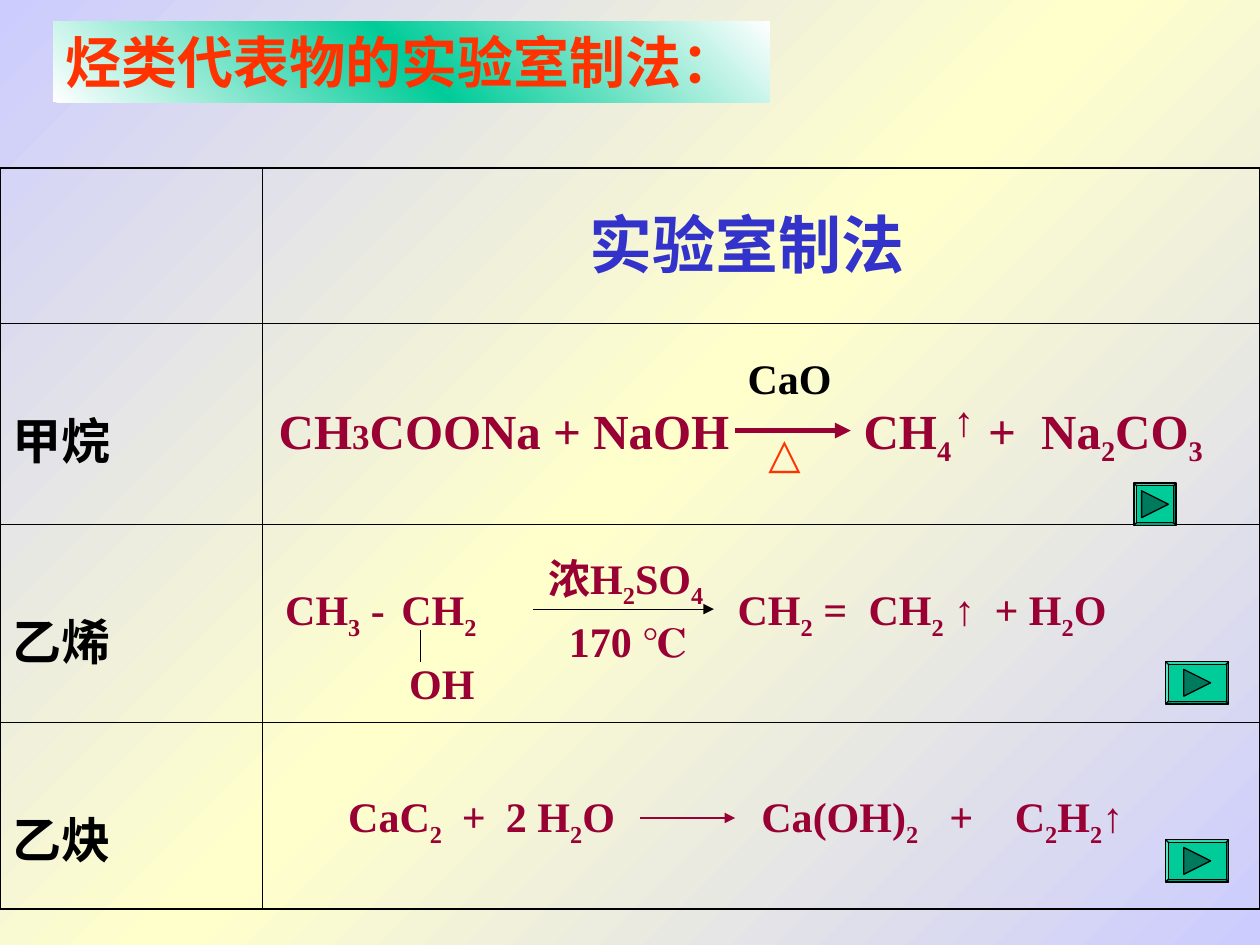
from copy import deepcopy
from dataclasses import dataclass

from lxml.etree import SubElement
from pptx import Presentation
from pptx.dml.color import RGBColor
from pptx.enum.shapes import MSO_CONNECTOR, MSO_SHAPE
from pptx.enum.text import MSO_ANCHOR
from pptx.oxml.ns import qn
from pptx.util import Cm, Pt

FONT = "Times New Roman"
BLACK, WINE, RED, BLUE, GREEN = "000000", "990033", "FF3300", "3333CC", "00CC99"


@dataclass
class Label:
    text: str
    x: float
    y: float
    w: float
    h: float
    size: int = 24
    color: str = WINE
    bold: bool = True
    tabs: tuple = ()
    anchor: MSO_ANCHOR = MSO_ANCHOR.TOP


@dataclass
class Line:
    x1: float
    y1: float
    x2: float
    y2: float
    color: str = BLACK
    width: float = 0.75
    arrow: bool = True


@dataclass
class Button:
    x: float
    y: float
    w: float
    h: float = 0.85


TITLE = Label("烃类代表物的实验室制法：", 1.07, 0.43, 14.45, 1.63, 32, RED)
LABELS = [
    Label("实验室制法", 11.64, 4.02, 9.53, 1.78, 36, BLUE),
    Label("\tCH~3COONa + NaOH\tCH_4\t+\tNa_2CO_3", 3.39, 6.15, 22, 3.4, 28,
          tabs=(1.98, 13.77, 16.28, 17.35), anchor=MSO_ANCHOR.BOTTOM),
    Label("↑", 18.97, 7.82, 1.14, 1.27, bold=False),
    Label("△", 15.24, 8.47, 1.7, 1.27, color=RED),
    Label("CaO", 14.82, 6.99, 2.33, 1.27, color=BLACK),
    Label("CH_3 -\tCH_2\tCH_2 =\tCH_2 ↑\t+ H_2O", 5.5, 11.64, 19.26, 1.42,
          tabs=(2.34, 9.12, 11.76, 14.3)),
    Label("OH", 8, 13.12, 3.43, 1.27),
    Label("浓H_2SO_4", 10.8, 11.01, 4.02, 1.42),
    Label("170 ℃", 11.22, 12.28, 3.18, 1.27),
    Label("CaC_2\t+\t2 H_2O\tCa(OH)_2\t+\tC_2H_2↑", 6.77, 15.82, 18.6, 2.96,
          tabs=(2.29, 3.18, 8.33, 12.12, 13.44)),
]
LINES = [
    Line(14.82, 8.68, 17.15, 8.68, WINE, 3),
    Line(10.75, 12.28, 14.39, 12.28),
    Line(8.47, 12.7, 8.47, 13.34, arrow=False),
    Line(12.91, 16.49, 14.82, 16.49, WINE),
]
BUTTONS = [Button(22.86, 9.74, 0.85), Button(23.5, 13.34, 1.27), Button(23.5, 16.93, 1.27)]
COLUMNS = (5.28, 20.12)
ROWS = (("", 3.12), ("甲烷", 4.06), ("乙烯", 3.99), ("乙炔", 3.76))


def rgb(color: str) -> RGBColor:
    return RGBColor.from_string(color)


def set_gradient(fill, element, edge: str, middle: str, angle: int) -> None:
    fill.gradient()
    fill.gradient_angle = angle
    gs_list = element.find(".//" + qn("a:gsLst"))
    gs_list.insert(1, deepcopy(gs_list[0]))
    for stop, color, position in zip(fill.gradient_stops, (edge, middle, edge), (0, 0.5, 1)):
        stop.color.rgb = rgb(color)
        stop.position = position


def set_font(p, size: int, color: str, bold: bool = True) -> None:
    p.font.name = FONT
    p.font.size = Pt(size)
    p.font.bold = bold
    p.font.color.rgb = rgb(color)


def add_run(p, text: str):
    r = p.add_run()
    r.text = text
    return r


def add_formula(p, text: str) -> None:
    first, *parts = text.replace("~", "_~").split("_")
    add_run(p, first)
    for part in parts:
        small = part.startswith("~")
        part = part.lstrip("~")
        r = add_run(p, part[0])
        if small:
            r.font.size = Pt(20)
        else:
            r.font._element.set("baseline", "-25000")
        if part[1:]:
            add_run(p, part[1:])


def add_label(s, label: Label):
    sp = s.shapes.add_textbox(Cm(label.x), Cm(label.y), Cm(label.w), Cm(label.h))
    tf = sp.text_frame
    tf.word_wrap = True
    tf.vertical_anchor = label.anchor
    p = tf.paragraphs[0]
    if label.tabs:
        tab_list = SubElement(p._p.get_or_add_pPr(), qn("a:tabLst"))
        for tab in label.tabs:
            SubElement(tab_list, qn("a:tab"), pos=str(Cm(tab)), algn="l")
    set_font(p, label.size, label.color, label.bold)
    add_formula(p, label.text)
    return sp


def add_line(s, line: Line) -> None:
    sp = s.shapes.add_connector(MSO_CONNECTOR.STRAIGHT, Cm(line.x1), Cm(line.y1),
                                Cm(line.x2), Cm(line.y2))
    sp.line.color.rgb = rgb(line.color)
    sp.line.width = Pt(line.width)
    if line.arrow:
        SubElement(sp.line._get_or_add_ln(), qn("a:tailEnd"), type="triangle")
    SubElement(sp._element.spPr, qn("a:effectLst"))


def style_shape(sp, color: str) -> None:
    sp.shadow.inherit = False
    sp.fill.solid()
    sp.fill.fore_color.rgb = rgb(color)
    sp.line.color.rgb = rgb(BLACK)
    sp.line.width = Pt(0.75)


def add_button(s, button: Button) -> None:
    sp = s.shapes.add_shape(MSO_SHAPE.BEVEL, Cm(button.x), Cm(button.y),
                            Cm(button.w), Cm(button.h))
    sp.adjustments[0] = 0.06
    style_shape(sp, GREEN)
    half = 0.27
    cx, cy = button.x + button.w / 2, button.y + button.h / 2
    builder = s.shapes.build_freeform(Cm(cx - half), Cm(cy - half))
    builder.add_line_segments([(Cm(cx + half), Cm(cy)), (Cm(cx - half), Cm(cy + half))])
    style_shape(builder.convert_to_shape(), "007A5C")


def set_borders(cell, widths: dict) -> None:
    tc_pr = cell._tc.get_or_add_tcPr()
    for side, width in widths.items():
        ln = SubElement(tc_pr, qn(f"a:ln{side}"), w=str(Pt(width)))
        SubElement(SubElement(ln, qn("a:solidFill")), qn("a:srgbClr"), val=BLACK)


def add_methods_table(s) -> None:
    height = sum(h for _, h in ROWS)
    table = s.shapes.add_table(len(ROWS), len(COLUMNS), 0, Cm(3.39),
                               Cm(sum(COLUMNS)), Cm(height)).table
    table.first_row = table.horz_banding = False
    for column, width in zip(table.columns, COLUMNS):
        column.width = Cm(width)
    outer, inner = 1.08, 0.45
    for i, (name, row_height) in enumerate(ROWS):
        table.rows[i].height = Cm(row_height)
        for j in range(len(COLUMNS)):
            cell = table.cell(i, j)
            set_borders(cell, {
                "L": outer if j == 0 else inner,
                "R": outer if j == len(COLUMNS) - 1 else inner,
                "T": outer if i == 0 else inner,
                "B": outer if i == len(ROWS) - 1 else inner,
            })
            cell.fill.background()
        if name:
            cell = table.cell(i, 0)
            cell.margin_top = Cm(1.6)
            p = cell.text_frame.paragraphs[0]
            set_font(p, 28, BLACK)
            add_run(p, name)


def main() -> None:
    prs = Presentation()
    prs.slide_width, prs.slide_height = Cm(25.4), Cm(19.05)
    s = prs.slides.add_slide(prs.slide_layouts[6])
    set_gradient(s.background.fill, s.element, "CCCCFF", "FFFFCC", 315)
    title = add_label(s, TITLE)
    set_gradient(title.fill, title.element, "FFFFFF", GREEN, 45)
    add_methods_table(s)
    for label in LABELS:
        add_label(s, label)
    for line in LINES:
        add_line(s, line)
    for button in BUTTONS:
        add_button(s, button)
    prs.save("out.pptx")


if __name__ == "__main__":
    main()
